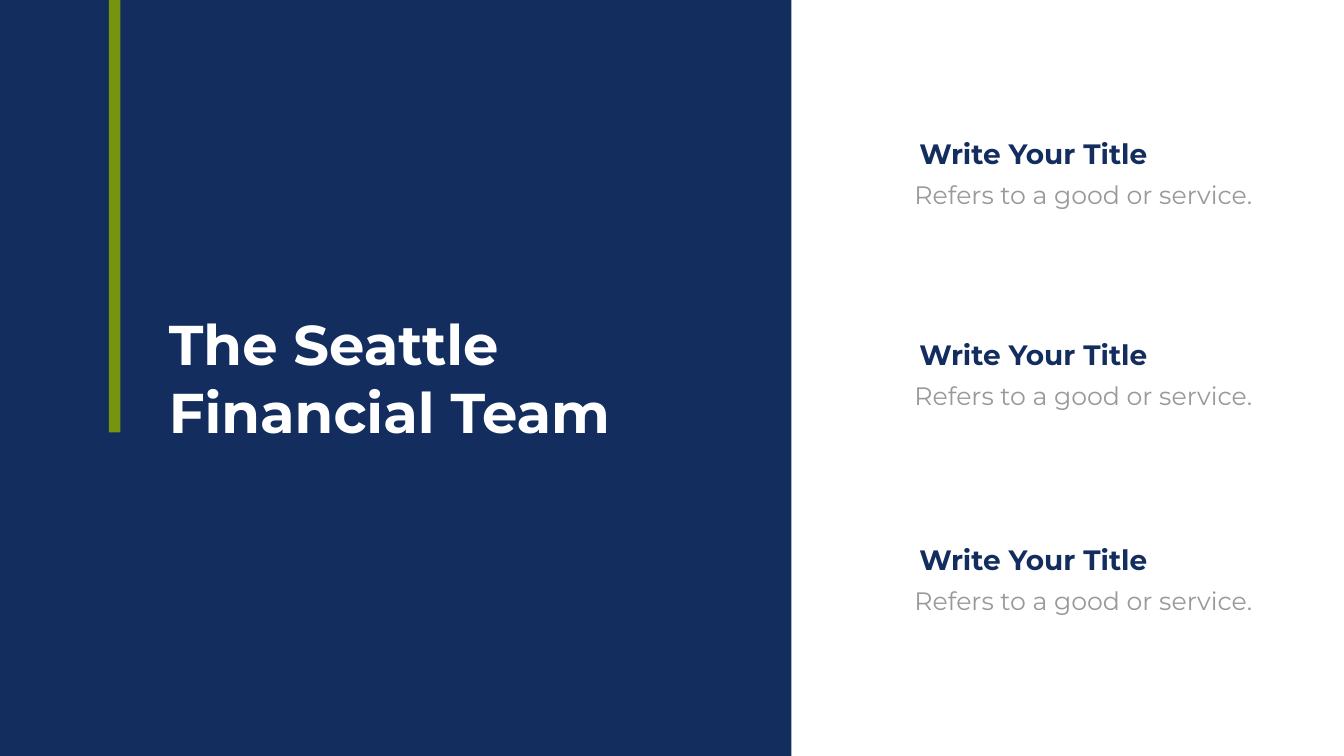
import pptx
import pptx.dml.color
import pptx.enum.shapes
import pptx.enum.text
import pptx.util

NAVY = pptx.dml.color.RGBColor(0x12, 0x2D, 0x5E)
GREEN = pptx.dml.color.RGBColor(0x76, 0x94, 0x10)
GREY = pptx.dml.color.RGBColor(0x99, 0x99, 0x99)
WHITE = pptx.dml.color.RGBColor(0xFF, 0xFF, 0xFF)

# The slide is a grid of one-inch cells.
CELL = pptx.util.Inches(1)
COLUMNS, ROWS = 26.66, 15
FONT = "Montserrat"

HEADLINE = {"size": pptx.util.Pt(80), "bold": True}
ITEM_TITLE = {"size": pptx.util.Pt(40), "bold": True}
ITEM_DETAIL = {"size": pptx.util.Pt(36), "bold": False}

ITEMS = [
    (2.66, "Write Your Title", "Refers to a good or service."),
    (6.65, "Write Your Title", "Refers to a good or service."),
    (10.72, "Write Your Title", "Refers to a good or service."),
]


def cells(*counts):
    return [int(count * CELL) for count in counts]


def add_panel(page, place, color):
    panel = page.shapes.add_shape(
        pptx.enum.shapes.MSO_SHAPE.RECTANGLE, *cells(*place))
    panel.shadow.inherit = False
    panel.fill.solid()
    panel.fill.fore_color.rgb = color
    panel.line.fill.background()


def add_text(page, place, words, style, color, insets=(0.1, 0.05), wrap=True):
    """Add a one-paragraph box; insets are (side, top and bottom)."""
    box = page.shapes.add_textbox(*cells(*place))
    side, edge = cells(*insets)
    frame_format = {
        "word_wrap": wrap,
        "auto_size": pptx.enum.text.MSO_AUTO_SIZE.SHAPE_TO_FIT_TEXT,
        "margin_left": side, "margin_right": side,
        "margin_top": edge, "margin_bottom": edge,
    }
    for name, value in frame_format.items():
        setattr(box.text_frame, name, value)
    span = box.text_frame.paragraphs[0].add_run()
    span.text = words
    for name, value in {"name": FONT, **style}.items():
        setattr(span.font, name, value)
    span.font.color.rgb = color


def add_item(page, top, title, detail):
    title_height = 0.77
    add_text(page, (17.9, top + title_height, 7.18, 0.85), detail,
             ITEM_DETAIL, GREY, insets=(0.24, 0.12), wrap=False)
    add_text(page, (18.14, top, 5.67, title_height), title, ITEM_TITLE, NAVY)


def main():
    deck = pptx.Presentation()
    deck.slide_width, deck.slide_height = cells(COLUMNS, ROWS)
    page = deck.slides.add_slide(deck.slide_layouts[6])
    page.background.fill.solid()
    page.background.fill.fore_color.rgb = WHITE

    add_panel(page, (0, 0, 15.7, ROWS), NAVY)
    add_text(page, (3.25, 6.1, 9.36, 2.79), "The Seattle Financial Team",
             HEADLINE, WHITE)
    for top, title, detail in ITEMS:
        add_item(page, top, title, detail)
    add_panel(page, (2.16, 0, 0.23, 8.58), GREEN)

    deck.save("out.pptx")


if __name__ == "__main__":
    main()
